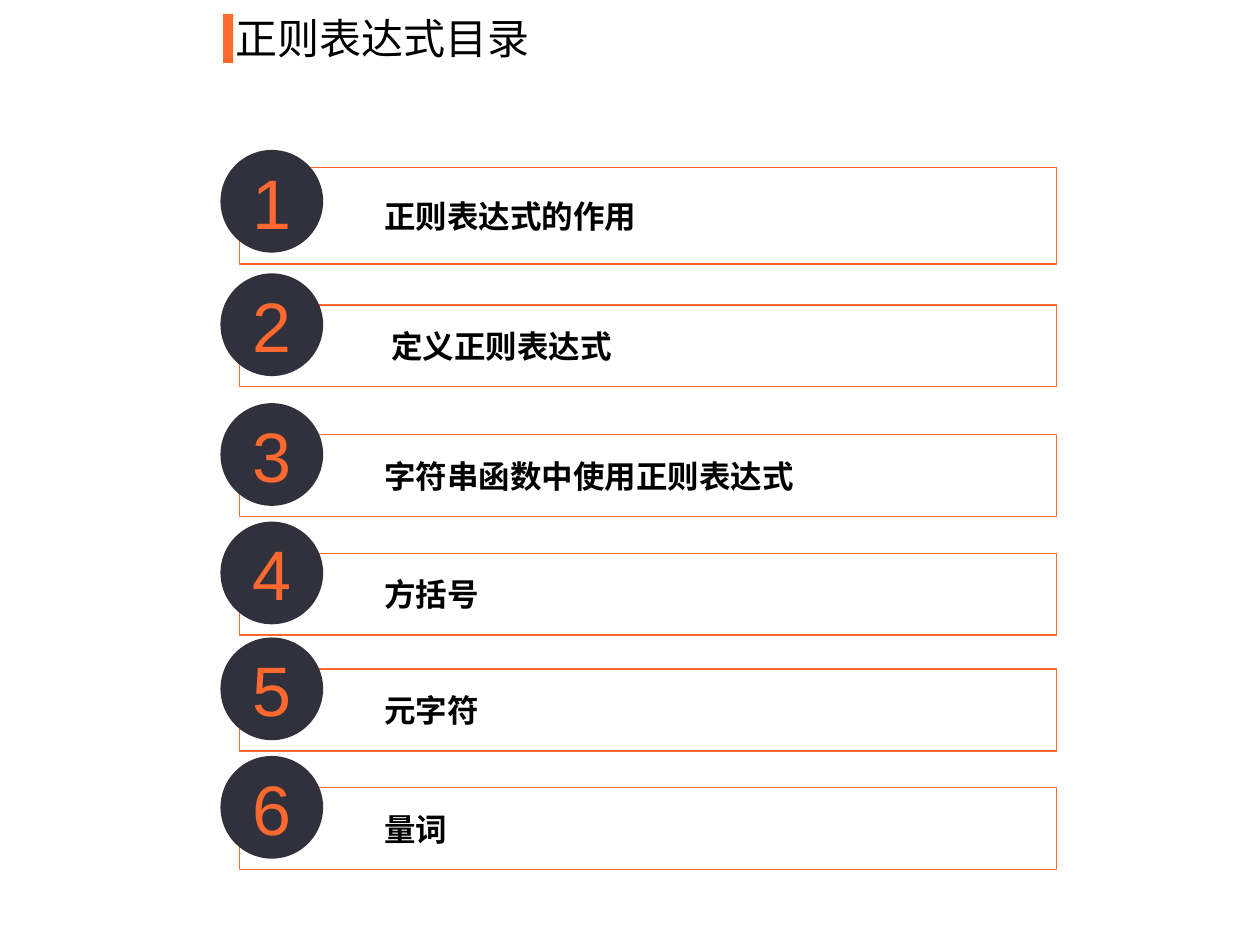
from dataclasses import dataclass

from lxml import etree
from pptx import Presentation
from pptx import util as u
from pptx.dml.color import RGBColor
from pptx.enum import shapes, text
from pptx.oxml import ns


@dataclass(frozen=True)
class Theme:
    """Colours, fonts and type sizes."""
    accent: str = "FF682F"
    dark: str = "30313C"
    ink: str = "000000"
    paper: str = "FFFFFF"
    latin: str = "Arial"
    asian: str = "Noto Sans CJK SC"
    head: int = 24
    body: int = 18
    badge: int = 40


class Page:
    """Draws on a slide with a grid of 100 columns by 75 rows."""

    def __init__(self, deck, theme):
        self.theme = theme
        self.slide = deck.slides.add_slide(deck.slide_layouts[6])
        self.col = deck.slide_width / 100
        self.row = deck.slide_height / 75

    def place(self, x, y, w, h):
        return (round(x * self.col), round(y * self.row),
                round(w * self.col), round(h * self.row))

    def shape(self, kind, area, fill, line=None, alpha=None):
        item = self.slide.shapes.add_shape(kind, *self.place(*area))
        item.shadow.inherit = False
        item.fill.solid()
        item.fill.fore_color.rgb = RGBColor.from_string(fill)
        if alpha:
            tint = item._element.spPr.find(".//" + ns.qn("a:srgbClr"))
            etree.SubElement(tint, ns.qn("a:alpha")).set("val", str(alpha * 1000))
        if line:
            item.line.color.rgb = RGBColor.from_string(line)
            item.line.width = u.Pt(0.75)
        else:
            item.line.fill.background()
        return item

    def label(self, item, words, size, color, font, align, bold=False):
        frame = item.text_frame
        frame.word_wrap = True
        frame.text = words
        para = frame.paragraphs[0]
        para.alignment = align
        run = para.runs[0]
        run.font.size = u.Pt(size)
        run.font.bold = bold
        run.font.color.rgb = RGBColor.from_string(color)
        run.font.name = font
        asian = etree.SubElement(run._r.get_or_add_rPr(), ns.qn("a:ea"))
        asian.set("typeface", self.theme.asian)
        return para

    def title(self, words):
        t = self.theme
        self.shape(shapes.MSO_SHAPE.RECTANGLE, (17.7, 1.1, 0.8, 3.9), t.accent)
        box = self.slide.shapes.add_textbox(*self.place(17.7, 0.5, 40.2, 5))
        self.label(box, words, t.head, t.ink, t.asian, text.PP_ALIGN.LEFT)
        box.text_frame.auto_size = text.MSO_AUTO_SIZE.SHAPE_TO_FIT_TEXT

    def panel(self, words, top, high, indent):
        t = self.theme
        box = self.shape(shapes.MSO_SHAPE.RECTANGLE, (19, top, 64.85, high),
                         t.paper, t.accent, 40)
        para = self.label(box, words, t.body, t.ink, t.latin,
                          text.PP_ALIGN.LEFT, True)
        para.level = 1
        props = para._p.get_or_add_pPr()
        props.set("marL", str(round(indent * self.col)))
        props.set("indent", "0")
        frame = box.text_frame
        frame.vertical_anchor = text.MSO_ANCHOR.MIDDLE
        frame.margin_left = round(6.5 * self.col)
        frame.margin_right = round(0.8 * self.col)
        frame.margin_top = frame.margin_bottom = round(0.8 * self.row)

    def badge(self, words, top):
        t = self.theme
        disc = self.shape(shapes.MSO_SHAPE.OVAL, (17.5, top, 8.15, 8.15), t.dark)
        self.label(disc, words, t.badge, t.accent, t.latin, text.PP_ALIGN.CENTER)
        disc.text_frame.vertical_anchor = text.MSO_ANCHOR.MIDDLE


def main():
    deck = Presentation()
    deck.slide_width, deck.slide_height = u.Inches(10), u.Inches(7.5)
    page = Page(deck, Theme())
    page.title("正则表达式目录")
    topics = [
        ("正则表达式的作用", 11.9, 1.4, 7.65, 5),
        ("定义正则表达式", 21.7, 2.5, 6.5, 5.55),
        ("字符串函数中使用正则表达式", 32, 2.5, 6.5, 5),
        ("方括号", 41.4, 2.5, 6.5, 5),
        ("元字符", 50.6, 2.5, 6.5, 5),
        ("量词", 60, 2.5, 6.5, 5),
    ]
    for rank, (words, top, drop, high, indent) in enumerate(topics, 1):
        page.panel(words, top + drop, high, indent)
        page.badge(str(rank), top)
    deck.save("out.pptx")


if __name__ == "__main__":
    main()
